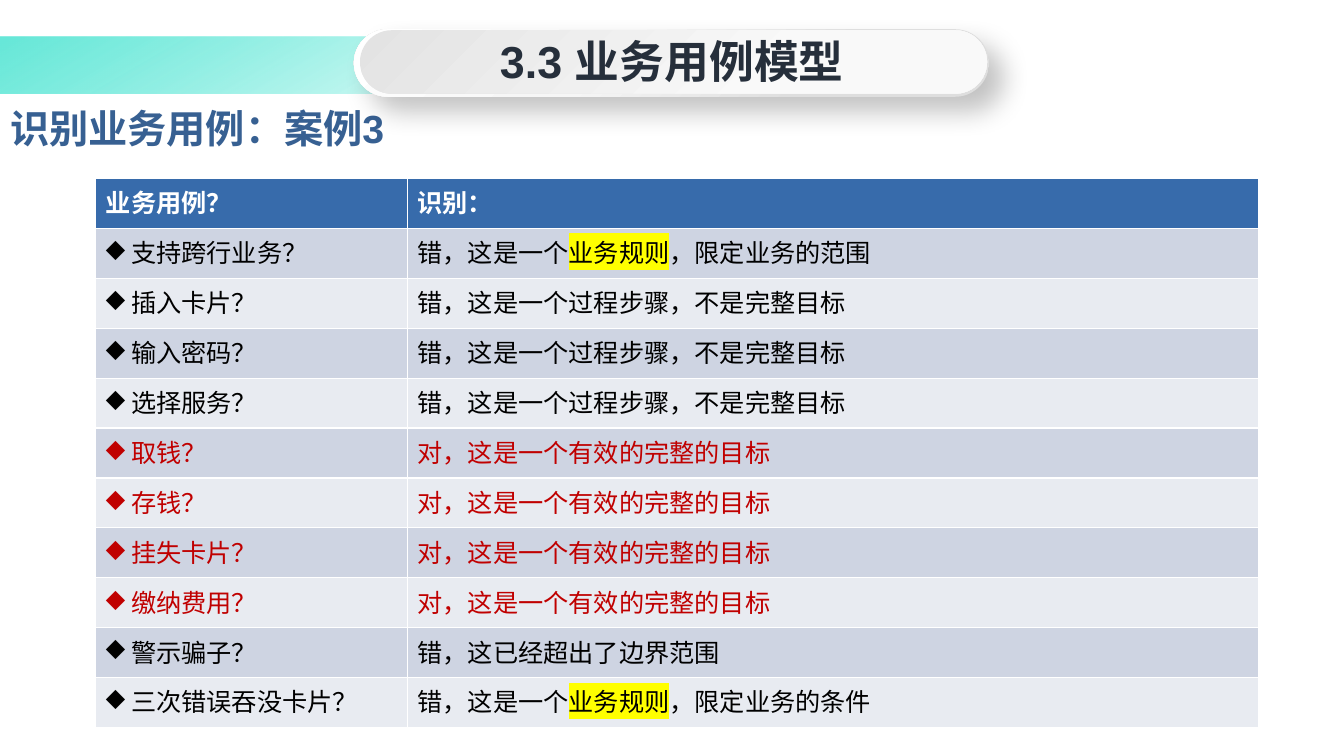
import pptx
import pptx.dml.color
import pptx.enum.shapes
import pptx.enum.text
import pptx.oxml
import pptx.oxml.ns
import pptx.util

RGBColor = pptx.dml.color.RGBColor
PX = 9144  # 100 px to the inch

WHITE = RGBColor(0xFF, 0xFF, 0xFF)
BLACK = RGBColor(0x00, 0x00, 0x00)
RED = RGBColor(0xC0, 0x00, 0x00)
YELLOW = RGBColor(0xFF, 0xFF, 0x00)
TITLE_BLUE = RGBColor(0x37, 0x60, 0x92)
HEADING_INK = RGBColor(0x26, 0x2F, 0x3B)
HEADER_BLUE = RGBColor(0x37, 0x6B, 0xAB)
BAND_DARK = RGBColor(0xCE, 0xD4, 0xE2)
BAND_LIGHT = RGBColor(0xE8, 0xEB, 0xF1)

# Gradient stops: position %, colour, opacity %
TEAL_FADE = [(1, RGBColor(0x4E, 0xE4, 0xD2), 85), (50, RGBColor(0x20, 0xE2, 0xCB), 0)]
PILL_RIM = [(1, RGBColor(0xDE, 0xDE, 0xDE), 100), (30, RGBColor(0xE0, 0xE0, 0xE0), 100),
            (61, RGBColor(0xF6, 0xF6, 0xF6), 100), (100, WHITE, 100)]
PILL_FACE = [(0, RGBColor(0xE3, 0xE3, 0xE3), 100), (67, RGBColor(0xF9, 0xF9, 0xF9), 100)]

STEP = "错，这是一个过程步骤，不是完整目标"
VALID = "对，这是一个有效的完整的目标"
RULE = "业务规则"
# Candidate use case, verdict in runs, text colour
CASES = [
    ("支持跨行业务？", ["错，这是一个", RULE, "，限定业务的范围"], BLACK),
    ("插入卡片？", [STEP], BLACK),
    ("输入密码？", [STEP], BLACK),
    ("选择服务？", [STEP], BLACK),
    ("取钱？", [VALID], RED),
    ("存钱？", [VALID], RED),
    ("挂失卡片？", [VALID], RED),
    ("缴纳费用？", [VALID], RED),
    ("警示骗子？", ["错，这已经超出了边界范围"], BLACK),
    ("三次错误吞没卡片？", ["错，这是一个", RULE, "，限定业务的条件"], BLACK),
]


def px(*lengths):
    return [pptx.util.Emu(n * PX) for n in lengths]


def xml(tag, attrs="", body=""):
    ns = pptx.oxml.ns.nsdecls("a")
    return pptx.oxml.parse_xml(f"<a:{tag} {ns} {attrs}>{body}</a:{tag}>")


def add_run(p, text, size, color, bold=False):
    r = p.add_run()
    r.text = text
    r.font.size = pptx.util.Pt(size)
    r.font.bold = bold
    r.font.color.rgb = color
    r.font.name = "Arial"
    return r


def highlight(r, color):
    fill = r.font._element.find(pptx.oxml.ns.qn("a:solidFill"))
    fill.addnext(xml("highlight", body=f'<a:srgbClr val="{color}"/>'))


def add_diamond_bullet(p):
    pPr = p._p.get_or_add_pPr()
    pPr.set("marL", str(25 * PX))
    pPr.set("indent", str(-25 * PX))
    pPr.append(xml("buChar", 'char="◆"'))


def add_gradient_shape(s, kind, box, stops, angle):
    sp = s.shapes.add_shape(kind, *px(*box))
    sp.shadow.inherit = False
    sp.line.fill.background()
    gs = "".join(
        f'<a:gs pos="{pos * 1000}"><a:srgbClr val="{color}">'
        f'<a:alpha val="{alpha * 1000}"/></a:srgbClr></a:gs>'
        for pos, color, alpha in stops)
    body = f'<a:gsLst>{gs}</a:gsLst><a:lin ang="{angle * 60000}" scaled="0"/>'
    geometry = sp._element.spPr.find(pptx.oxml.ns.qn("a:prstGeom"))
    geometry.addnext(xml("gradFill", 'rotWithShape="1"', body))
    return sp


def add_pill(s, box, stops, angle):
    kind = pptx.enum.shapes.MSO_SHAPE.ROUNDED_RECTANGLE
    sp = add_gradient_shape(s, kind, box, stops, angle)
    sp.adjustments[0] = 0.5
    return sp


def add_soft_shadow(sp):
    effects = sp._element.spPr.find(pptx.oxml.ns.qn("a:effectLst"))
    effects.append(xml(
        "outerShdw",
        f'blurRad="{pptx.util.Pt(19)}" dist="{pptx.util.Pt(14)}" dir="2700000" '
        'algn="tl" rotWithShape="0"',
        '<a:srgbClr val="000000"><a:alpha val="24000"/></a:srgbClr>'))


def add_heading(s, text):
    """Put the section heading on its pill."""
    add_soft_shadow(add_pill(s, (351, 29, 630, 67), PILL_RIM, 225))
    add_pill(s, (357, 30, 622, 63), PILL_FACE, 45)
    tf = s.shapes.add_textbox(*px(381, 29, 571, 64)).text_frame
    tf.word_wrap = True
    p = tf.paragraphs[0]
    p.alignment = pptx.enum.text.PP_ALIGN.CENTER
    add_run(p, text, 32, HEADING_INK, bold=True)


def set_title(s, text):
    title = s.shapes.title
    title.left, title.top, title.width, title.height = px(0, 93, 1338, 67)
    tf = title.text_frame
    tf.auto_size = pptx.enum.text.MSO_AUTO_SIZE.NONE
    tf.vertical_anchor = pptx.enum.text.MSO_ANCHOR.MIDDLE
    p = tf.paragraphs[0]
    p.alignment = pptx.enum.text.PP_ALIGN.LEFT
    add_run(p, text, 28, TITLE_BLUE, bold=True)


def add_column_table(s, left, width, header, entries, bulleted=False):
    """Add a one-column table; entries are (runs, colour) pairs."""
    rows = [([header], WHITE)] + entries
    table = s.shapes.add_table(len(rows), 1, *px(left, 177, width, 545)).table
    for i, (runs, color) in enumerate(rows):
        cell = table.cell(i, 0)
        cell.fill.solid()
        band = BAND_DARK if i % 2 else BAND_LIGHT
        cell.fill.fore_color.rgb = band if i else HEADER_BLUE
        p = cell.text_frame.paragraphs[0]
        if bulleted and i:
            add_diamond_bullet(p)
        for text in runs:
            r = add_run(p, text, 18, color, bold=i == 0)
            if text == RULE:
                highlight(r, YELLOW)


def main():
    prs = pptx.Presentation()
    prs.slide_width, prs.slide_height = px(1333, 750)
    s = prs.slides.add_slide(prs.slide_layouts[5])

    set_title(s, "识别业务用例：案例3")
    add_gradient_shape(s, pptx.enum.shapes.MSO_SHAPE.RECTANGLE,
                       (-1, 36, 1317, 57), TEAL_FADE, 60)
    add_heading(s, "3.3 业务用例模型")
    add_column_table(s, 95, 375, "业务用例？",
                     [([name], color) for name, _, color in CASES], bulleted=True)
    add_column_table(s, 404, 844, "识别：",
                     [(verdict, color) for _, verdict, color in CASES])
    prs.save("out.pptx")


if __name__ == "__main__":
    main()
